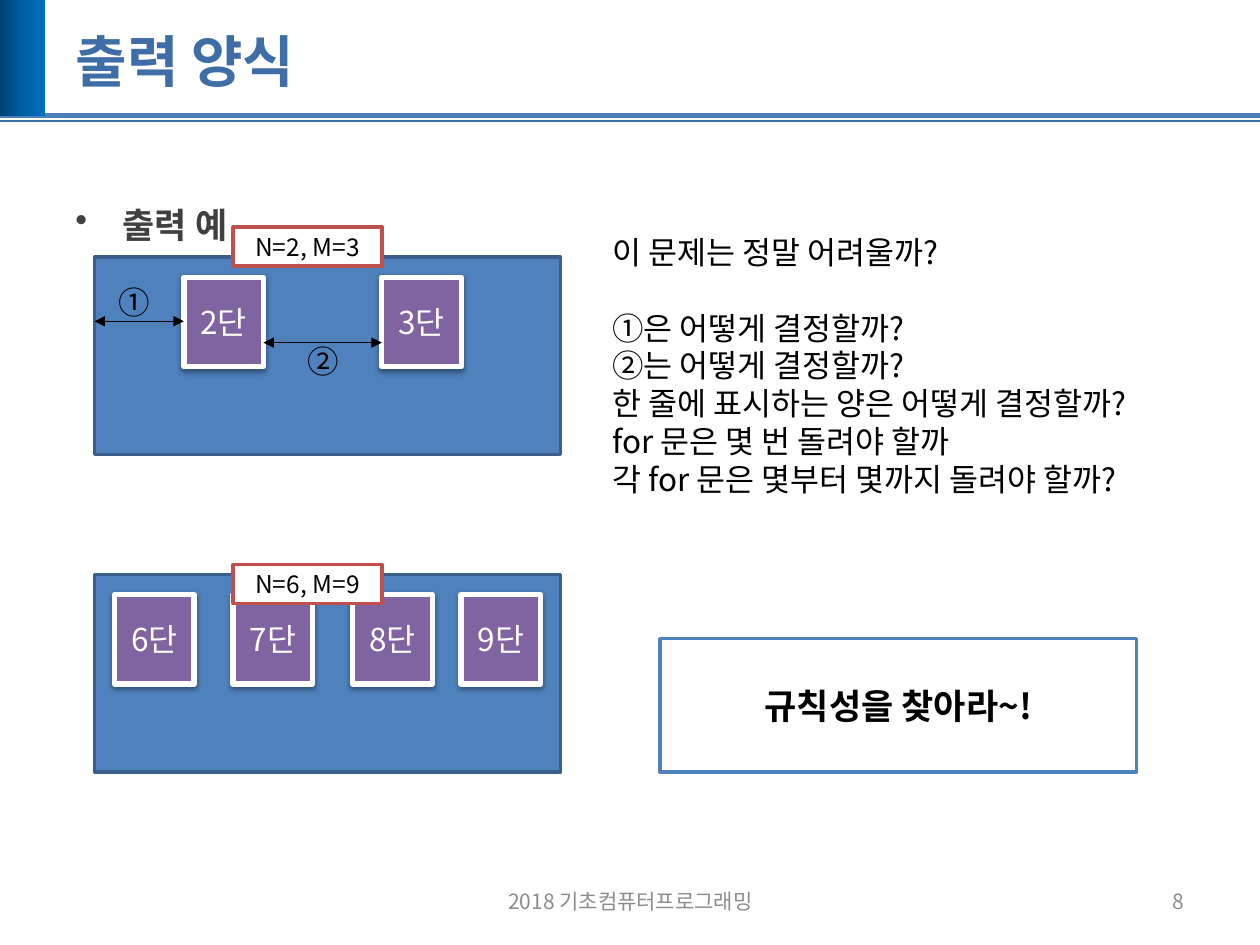
from copy import deepcopy
from dataclasses import dataclass

from lxml.etree import SubElement
from pptx import Presentation
from pptx.dml.color import RGBColor
from pptx.enum.shapes import MSO_CONNECTOR as Connector, MSO_SHAPE as Shape
from pptx.enum.text import MSO_ANCHOR as Anchor, MSO_AUTO_SIZE as AutoSize, PP_ALIGN as Align
from pptx.oxml.ns import qn
from pptx.util import Pt


@dataclass(frozen=True)
class Theme:
    font: str = "Noto Sans CJK KR"
    title: str = "3F6EA7"
    rule: str = "4B7EBC"
    band: tuple = ("004272", "005EA2", "0070C0")
    heading: str = "404040"
    muted: str = "8C8C8C"
    ink: str = "000000"
    paper: str = "FFFFFF"
    panel: str = "4F81BD"
    panel_edge: str = "3A5F8C"
    card: str = "8064A2"
    tag_edge: str = "C0504D"
    title_size: int = 32
    heading_size: int = 20
    body_size: int = 18
    tag_size: int = 14
    footer_size: int = 12
    body_leading: float = 21.6


class SlideBuilder:
    def __init__(self, slide, theme):
        self.slide = slide
        self.theme = theme

    def style(self, paragraph, size, color, bold=False, align=Align.LEFT):
        paragraph.alignment = align
        font = paragraph.font
        font.size = Pt(size)
        font.bold = bold
        font.color.rgb = RGBColor.from_string(color)
        font.name = self.theme.font
        defaults = paragraph._p.get_or_add_pPr().get_or_add_defRPr()
        SubElement(defaults, qn("a:ea"), typeface=self.theme.font)

    def title(self, text, left, top, width, height):
        title = self.slide.shapes.title
        title.left, title.top, title.width, title.height = map(Pt, (left, top, width, height))
        frame = title.text_frame
        frame.text = text
        frame.vertical_anchor = Anchor.MIDDLE
        frame.auto_size = AutoSize.NONE
        self.style(frame.paragraphs[0], self.theme.title_size, self.theme.title, True)

    def text(self, lines, box, size, color, bold=False, align=Align.LEFT,
             anchor=Anchor.TOP, wrap=True, leading=None):
        frame = self.slide.shapes.add_textbox(*map(Pt, box)).text_frame
        frame.text = "\n".join(lines)
        frame.word_wrap = wrap
        frame.vertical_anchor = anchor
        for paragraph in frame.paragraphs:
            self.style(paragraph, size, color, bold, align)
            if leading:
                paragraph.line_spacing = Pt(leading)
        return frame.paragraphs

    def bullet(self, text, box):
        paragraph = self.text([text], box, self.theme.heading_size, self.theme.heading, True)[0]
        paragraph.line_spacing = 1.2
        paragraph.space_before = paragraph.space_after = Pt(6)
        properties = paragraph._p.get_or_add_pPr()
        properties.set("marL", str(Pt(27)))
        properties.set("indent", str(-Pt(27)))
        mark = SubElement(properties, qn("a:buChar"), char="•")
        properties.find(qn("a:defRPr")).addprevious(mark)

    def box(self, box, fill, edge, weight, text="", size=18, color="000000", bold=False):
        rect = self.slide.shapes.add_shape(Shape.RECTANGLE, *map(Pt, box))
        rect.shadow.inherit = False
        rect.fill.solid()
        rect.fill.fore_color.rgb = RGBColor.from_string(fill)
        rect.line.color.rgb = RGBColor.from_string(edge)
        rect.line.width = Pt(weight)
        if text:
            frame = rect.text_frame
            frame.text = text
            frame.vertical_anchor = Anchor.MIDDLE
            self.style(frame.paragraphs[0], size, color, bold, Align.CENTER)
        return rect

    def card(self, text, left, top):
        theme = self.theme
        card = self.box((left, top, 45.4, 51.1), theme.card, theme.paper, 3,
                        text, theme.body_size, theme.paper)
        effects = card._element.spPr.find(qn("a:effectLst"))
        shadow = SubElement(effects, qn("a:outerShdw"), blurRad=str(Pt(3.1)),
                            dist=str(Pt(1.6)), dir="5400000", rotWithShape="0")
        tone = SubElement(shadow, qn("a:srgbClr"), val=theme.ink)
        SubElement(tone, qn("a:alpha"), val="38000")

    def example(self, top, tag, tag_top, cards):
        theme = self.theme
        self.box((54, top, 266.4, 113), theme.panel, theme.panel_edge, 2)
        for label, left in cards:
            self.card(label, left, top + 11.5)
        self.box((133.2, tag_top, 85, 22.3), theme.paper, theme.tag_edge, 2, tag, theme.tag_size)

    def line(self, start, end, y, color, weight, arrows=False):
        line = self.slide.shapes.add_connector(Connector.STRAIGHT, Pt(start), Pt(y), Pt(end), Pt(y))
        line.line.color.rgb = RGBColor.from_string(color)
        line.line.width = Pt(weight)
        if arrows:
            for end_tag in ("a:headEnd", "a:tailEnd"):
                SubElement(line.line._get_or_add_ln(), qn(end_tag), type="triangle")
        SubElement(line._element.spPr, qn("a:effectLst"))

    def band(self, box, colors):
        band = self.slide.shapes.add_shape(Shape.RECTANGLE, *map(Pt, box))
        band.shadow.inherit = False
        band.line.fill.background()
        band.fill.gradient()
        band.fill.gradient_angle = 0
        stops = band._element.spPr.find(".//" + qn("a:gsLst"))
        stops.append(deepcopy(stops[0]))
        for index, (stop, color) in enumerate(zip(band.fill.gradient_stops, colors)):
            stop.position = index / 2
            stop.color.rgb = RGBColor.from_string(color)


def main():
    theme = Theme()
    deck = Presentation()
    deck.slide_width, deck.slide_height = Pt(720), Pt(540)
    page = SlideBuilder(deck.slides.add_slide(deck.slide_layouts[5]), theme)

    page.line(0, 720, 66.2, theme.rule, 3)
    page.line(0, 720, 69.1, theme.title, 1)
    page.band((0, 0, 25.5, 66.2), theme.band)
    page.title("출력 양식", 36, 15.1, 648, 38.9)
    page.bullet("출력 예", (36, 108, 648, 38.9))

    page.example(146.9, "N=2, M=3", 129.6, [("2단", 105.1), ("3단", 218.2)])
    page.example(328.3, "N=6, M=9", 322.6,
                 [("6단", 65.5), ("7단", 133.2), ("8단", 201.6), ("9단", 263.5)])

    questions = page.text(
        ["이 문제는 정말 어려울까?", "①은 어떻게 결정할까?", "②는 어떻게 결정할까?",
         "한 줄에 표시하는 양은 어떻게 결정할까?", "for 문은 몇 번 돌려야 할까",
         "각 for 문은 몇부터 몇까지 돌려야 할까?"],
        (342.7, 129.6, 322.6, 181.4), theme.body_size, theme.ink,
        wrap=False, leading=theme.body_leading)
    questions[1].space_before = Pt(theme.body_leading)

    for start, end, y in ((54, 105.1, 183.6), (150.5, 218.2, 195.8)):
        page.line(start, end, y, theme.ink, 0.75, arrows=True)
    for number, left, top in (("①", 60.5, 158.4), ("②", 168.5, 192.2)):
        page.text([number], (left, top, 32.4, 28.8), theme.body_size, theme.ink,
                  wrap=False, leading=theme.body_leading)

    page.box((377.3, 365, 272.2, 76.3), theme.paper, theme.panel, 2,
             "규칙성을 찾아라~!", theme.heading_size, theme.ink, True)
    for text, left, width, align in (("2018 기초컴퓨터프로그래밍", 246.2, 228.2, Align.CENTER),
                                     ("8", 516.2, 167.8, Align.RIGHT)):
        page.text([text], (left, 500.4, width, 28.8), theme.footer_size, theme.muted,
                  align=align, anchor=Anchor.MIDDLE)
    deck.save("out.pptx")


if __name__ == "__main__":
    main()
